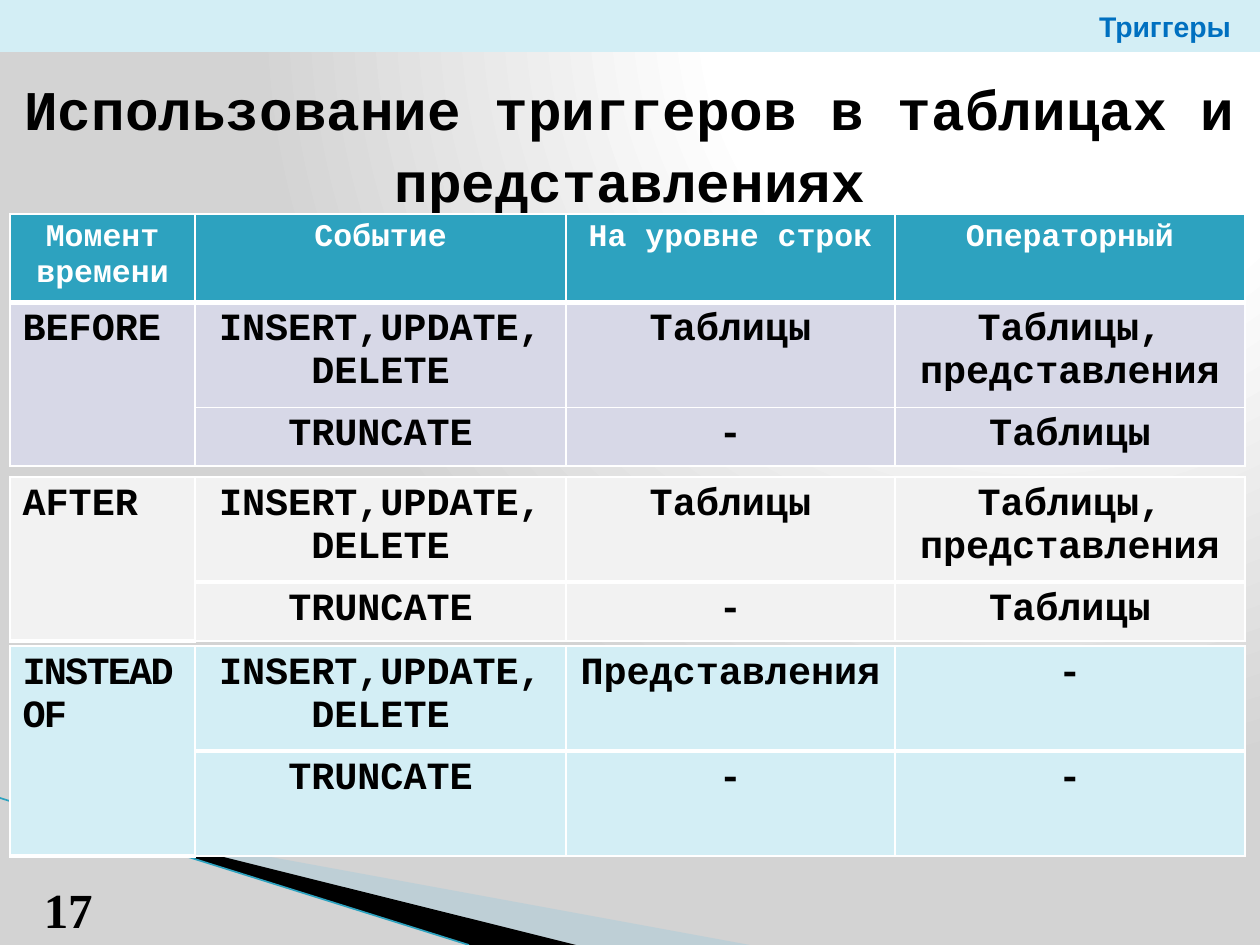
"""Build a slide on trigger use in tables and views."""
from lxml import etree
from pptx import Presentation
from pptx.dml.color import RGBColor
from pptx.enum.shapes import MSO_CONNECTOR, MSO_SHAPE
from pptx.enum.text import MSO_ANCHOR, PP_ALIGN
from pptx.oxml import parse_xml
from pptx.oxml.ns import nsdecls, qn
from pptx.util import Inches, Pt

LEFT, CENTER, RIGHT = PP_ALIGN.LEFT, PP_ALIGN.CENTER, PP_ALIGN.RIGHT
TOP, MIDDLE, BOTTOM = MSO_ANCHOR.TOP, MSO_ANCHOR.MIDDLE, MSO_ANCHOR.BOTTOM
PX = Inches(1) / 126
THEME = {
    "white": "FFFFFF", "black": "000000", "gray": "D3D3D3", "pale": "D3EEF5",
    "blue": "0070C0", "teal": "2DA2BF", "lavender": "D7D8E7", "light": "F2F2F2",
    "wedge": "A0CBDC", "line": "97C5D8",
    "mono": "Courier New", "sans": "Arial", "serif": "Times New Roman",
    "title": 32, "number": 28, "body": 22, "head": 18, "topic": 16.2,
}


def px(*lengths):
    return [round(length * PX) for length in lengths]


def write(frame, text, size, color, face="mono", align=CENTER):
    frame.word_wrap = True
    paragraph = frame.paragraphs[0]
    paragraph.alignment = align
    run = paragraph.add_run()
    run.text = text
    formats = {"size": Pt(THEME[size]), "name": THEME[face], "bold": True}
    for name, value in formats.items():
        setattr(run.font, name, value)
    run.font.color.rgb = RGBColor.from_string(THEME[color])
    return paragraph


presentation = Presentation()
presentation.slide_width, presentation.slide_height = px(1260, 945)
slide = presentation.slides.add_slide(presentation.slide_layouts[6])
shapes = slide.shapes

slide.background.fill.gradient()
gradient = slide.element.xpath(".//a:gradFill")[0]
stops = "".join(
    f'<a:gs pos="{position}"><a:srgbClr val="{THEME[color]}"/></a:gs>'
    for position, color in ((0, "white"), (40000, "white"), (100000, "gray"))
)
gradient.getparent().replace(gradient, parse_xml(
    f'<a:gradFill {nsdecls("a")} rotWithShape="1"><a:gsLst>{stops}</a:gsLst>'
    '<a:path path="circle"><a:fillToRect l="65000" b="98000"/></a:path></a:gradFill>'
))

wedges = [
    ("wedge", 40, [(69, 820), (750, 945), (575, 945), (69, 819)]),
    ("black", 100, [(67, 818), (576, 945), (469, 945), (68, 819)]),
]
for color, opacity, points in wedges:
    builder = shapes.build_freeform(*points[0], scale=PX)
    builder.add_line_segments(points[1:], close=True)
    wedge = builder.convert_to_shape()
    wedge.shadow.inherit = False
    wedge.fill.solid()
    wedge.fill.fore_color.rgb = RGBColor.from_string(THEME[color])
    wedge.line.fill.background()
    fill_color = wedge._element.spPr.find(qn("a:solidFill"))[0]
    etree.SubElement(fill_color, qn("a:alpha"), val=str(opacity * 1000))

edge = shapes.add_connector(MSO_CONNECTOR.STRAIGHT, *px(0, 798, 469, 945))
edge.line.color.rgb = RGBColor.from_string(THEME["teal"])
edge.line.width = Pt(0.95)
etree.SubElement(edge._element.spPr, qn("a:effectLst"))

title = shapes.add_textbox(*px(0, 64, 1260, 142))
heading = write(title.text_frame, "Использование триггеров в таблицах и представлениях",
                "title", "black")
heading.line_spacing = 1.07

banner = shapes.add_shape(MSO_SHAPE.RECTANGLE, *px(0, 0, 1260, 52))
banner.shadow.inherit = False
banner.fill.solid()
banner.fill.fore_color.rgb = RGBColor.from_string(THEME["pale"])
banner.line.fill.background()
banner.text_frame.vertical_anchor = MIDDLE
banner.text_frame.margin_right = px(29)[0]
write(banner.text_frame, "Триггеры", "topic", "blue", "sans", RIGHT)

number = shapes.add_textbox(*px(0, 879, 105, 66))
number.text_frame.vertical_anchor = BOTTOM
write(number.text_frame, "17", "number", "black", "serif", RIGHT)

columns = px(185, 371, 329, 350)
events = "INSERT,UPDATE, DELETE"
header = ["Момент времени", "Событие", "На уровне строк", "Операторный"]
both = "Таблицы, представления"
tables = [
    (214, [84, 100, 57], "lavender", [
        header, ["BEFORE", events, "Таблицы", both], ["", "TRUNCATE", "-", "Таблицы"]]),
    (477, [100, 56], "light", [
        ["AFTER", events, "Таблицы", both], ["", "TRUNCATE", "-", "Таблицы"]]),
    (646, [100, 100], "pale", [
        ["INSTEAD OF", events, "Представления", "-"], ["", "TRUNCATE", "-", "-"]]),
]
for top, heights, fill, rows in tables:
    has_header = rows[0] is header
    table = shapes.add_table(len(rows), 4, *px(10, top, 1235, sum(heights))).table
    table.first_row = table.horz_banding = False
    for column, width in zip(table.columns, columns):
        column.width = width
    for row, height in zip(table.rows, px(*heights)):
        row.height = height
    first = len(rows) - 2
    table.cell(first, 0).merge(table.cell(first + 1, 0))
    for r, texts in enumerate(rows):
        is_header = has_header and r == 0
        for c, text in enumerate(texts):
            cell = table.cell(r, c)
            cell.vertical_anchor = TOP
            cell.fill.solid()
            cell.fill.fore_color.rgb = RGBColor.from_string(THEME["teal" if is_header else fill])
            thick = r == 0 or (c == 0 and not has_header)
            properties = cell._tc.get_or_add_tcPr()
            for index, side in enumerate("LRTB"):
                width = Pt(3 if side == "B" and thick else 1)
                properties.insert(index, parse_xml(
                    f'<a:ln{side} {nsdecls("a")} w="{width}"><a:solidFill>'
                    f'<a:srgbClr val="{THEME["white"]}"/></a:solidFill></a:ln{side}>'
                ))
            if text:
                paragraph = write(
                    cell.text_frame, text, "head" if is_header else "body",
                    "white" if is_header else "black",
                    align=LEFT if c == 0 and not is_header else CENTER)
                if text == "INSTEAD OF":
                    paragraph.runs[0].font._element.set("spc", "-100")

presentation.save("out.pptx")
